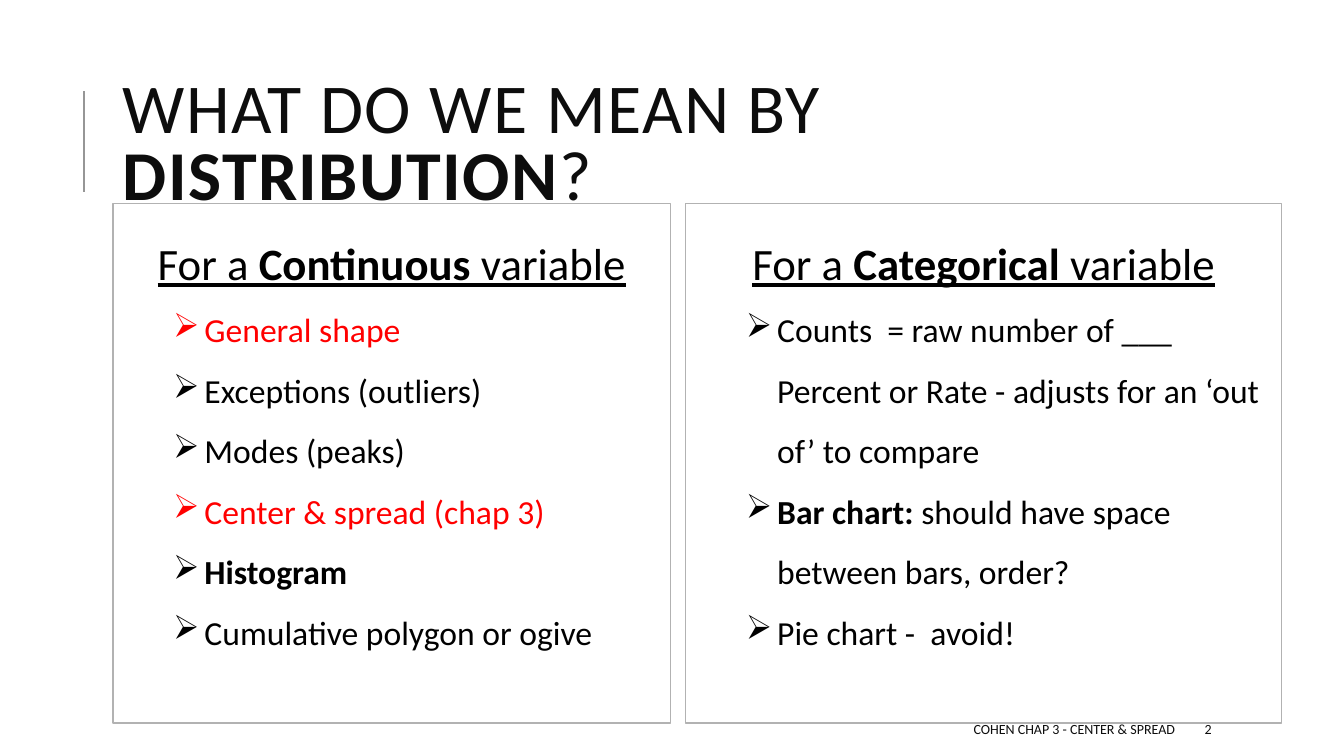
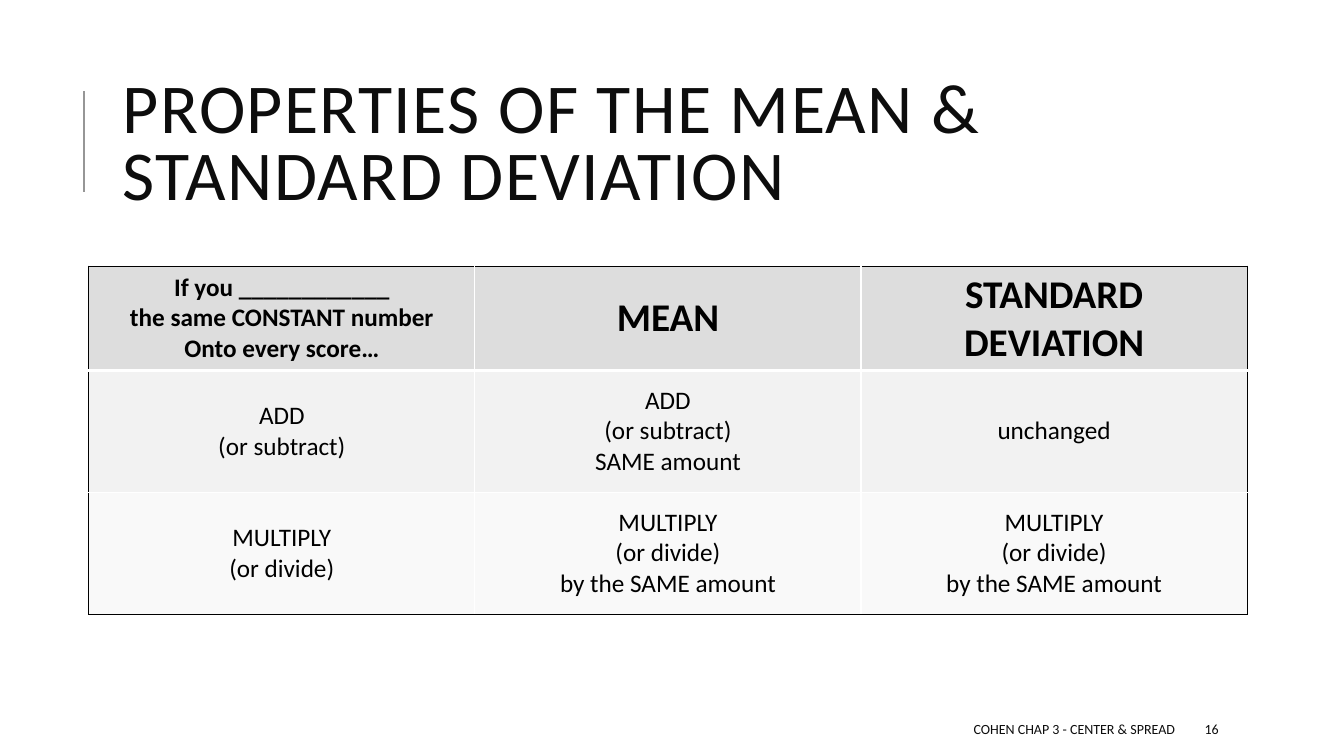
from lxml import etree
from pptx import Presentation
from pptx.dml.color import RGBColor
from pptx.enum.shapes import MSO_CONNECTOR, MSO_SHAPE
from pptx.enum.text import MSO_ANCHOR as Anchor, PP_ALIGN as Align
from pptx.oxml.ns import qn
from pptx.util import Inches, Pt

FONT = "Calibri"
BLACK, WHITE, RED = "000000", "FFFFFF", "FF0000"
DARK_TEXT = "0D0D0D"
ACCENT_LINE = "969696"
PANEL_LINE = "B2B2B2"
ROW_FILLS = ["DDDDDD", "F2F2F2", "F9F9F9"]
FOOTER = "COHEN CHAP 3 - CENTER & SPREAD"
BLANK_LAYOUT = 6

TABLE_ROWS = [
    [["If you ____________", "the same CONSTANT number", "Onto every score…"],
     ["MEAN"],
     ["STANDARD", "DEVIATION"]],
    [["ADD", "(or subtract)"],
     ["ADD", "(or subtract)", "SAME amount"],
     ["unchanged"]],
    [["MULTIPLY", "(or divide)"],
     ["MULTIPLY", "(or divide)", "by the SAME amount"],
     ["MULTIPLY", "(or divide)", "by the SAME amount"]],
]


def rgb(color):
    return RGBColor.from_string(color)


def add_bullet(paragraph):
    properties = paragraph._p.get_or_add_pPr()
    properties.set("lvl", "1")
    properties.set("marL", str(Inches(0.81)))
    properties.set("indent", str(Inches(-0.31)))
    etree.SubElement(properties, qn("a:buChar"), char="➢")


def write(frame, text, size=24, color=BLACK, bold=False, underline=False,
          align=Align.LEFT, line_spacing=None, bullet=False, tracking=None):
    """Add one paragraph; parts between ** marks are bold."""
    paragraph = frame.add_paragraph() if frame.text else frame.paragraphs[0]
    if bullet:
        add_bullet(paragraph)
    paragraph.alignment = align
    if line_spacing:
        paragraph.line_spacing = line_spacing
    for index, part in enumerate(text.split("**")):
        if not part:
            continue
        run = paragraph.add_run()
        run.text = part
        run.font.name = FONT
        run.font.size = Pt(size)
        run.font.color.rgb = rgb(color)
        run.font.bold = bold or index % 2 == 1
        run.font.underline = underline
        if tracking:
            run._r.get_or_add_rPr().set("spc", str(tracking * 100))


def add_text(slide, left, top, width, height, text, **text_format):
    box = slide.shapes.add_textbox(
        Inches(left), Inches(top), Inches(width), Inches(height))
    frame = box.text_frame
    frame.word_wrap = True
    frame.vertical_anchor = Anchor.MIDDLE
    write(frame, text, **text_format)


def add_title_bar(slide):
    bar = slide.shapes.add_connector(
        MSO_CONNECTOR.STRAIGHT,
        Inches(0.83), Inches(1.9), Inches(0.83), Inches(0.9))
    bar.line.color.rgb = rgb(ACCENT_LINE)
    bar.line.width = Pt(1.5)
    etree.SubElement(bar._element.spPr, qn("a:effectLst"))


def add_slide(presentation, title, title_width, number):
    """Add a slide with the shared title, side bar and footer."""
    slide = presentation.slides.add_slide(
        presentation.slide_layouts[BLANK_LAYOUT])
    add_title_bar(slide)
    add_text(slide, 1.12, 0.64, title_width, 1.64, title, size=50,
             color=DARK_TEXT, line_spacing=0.8, tracking=1)
    add_text(slide, 5.3, 7.08, 6.45, 0.3, FOOTER, size=10,
             color=DARK_TEXT, align=Align.RIGHT)
    add_text(slide, 11.85, 7.08, 1.06, 0.3, str(number), size=10,
             color=DARK_TEXT)
    return slide


def add_panel(slide, left, width, heading, items):
    """Add a framed list; items are (text, color) pairs."""
    panel = slide.shapes.add_shape(
        MSO_SHAPE.RECTANGLE,
        Inches(left), Inches(2.02), Inches(width), Inches(5.15))
    panel.shadow.inherit = False
    panel.fill.solid()
    panel.fill.fore_color.rgb = rgb(WHITE)
    panel.line.color.rgb = rgb(PANEL_LINE)
    panel.line.width = Pt(1.25)
    frame = panel.text_frame
    frame.word_wrap = True
    frame.vertical_anchor = Anchor.TOP
    write(frame, heading, size=32, underline=True, align=Align.CENTER,
          line_spacing=1.5)
    for text, color in items:
        write(frame, text, color=color, line_spacing=1.5, bullet=True)


def set_border(cell, side, color, width):
    line = etree.SubElement(cell._tc.get_or_add_tcPr(), qn(f"a:ln{side}"),
                            w=str(Pt(width)))
    fill = etree.SubElement(line, qn("a:solidFill"))
    etree.SubElement(fill, qn("a:srgbClr"), val=color)


def style_cell(cell, row, column, last_row, last_column):
    """Black on the outer edges, white inside, thick below the header."""
    outer_edges = {"L": column == 0, "R": column == last_column,
                   "T": row == 0, "B": row == last_row}
    for side, is_outer in outer_edges.items():
        width = 3 if row == 0 and side == "B" else 1
        set_border(cell, side, BLACK if is_outer else WHITE, width)
    cell.fill.solid()
    cell.fill.fore_color.rgb = rgb(ROW_FILLS[row])
    cell.vertical_anchor = Anchor.MIDDLE


def add_properties_table(slide, rows):
    row_count, column_count = len(rows), len(rows[0])
    table = slide.shapes.add_table(
        row_count, column_count,
        Inches(0.88), Inches(2.64), Inches(11.49), Inches(3.45)).table
    for row, cells in enumerate(rows):
        table.rows[row].height = Inches(1.21 if row else 1.03)
        for column, lines in enumerate(cells):
            cell = table.cell(row, column)
            style_cell(cell, row, column, row_count - 1, column_count - 1)
            size = 28 if row == 0 and column > 0 else 18
            for text in lines:
                write(cell.text_frame, text, size=size, bold=row == 0,
                      align=Align.CENTER)


def main():
    presentation = Presentation()
    presentation.slide_width = Inches(13.33)
    presentation.slide_height = Inches(7.5)

    distribution = add_slide(
        presentation, "WHAT DO WE MEAN BY **DISTRIBUTION**?", 10.63, 2)
    add_panel(distribution, 6.8, 5.91, "For a **Categorical** variable", [
        ("Counts  = raw number of ___ Percent or Rate - adjusts for an "
         "‘out of’ to compare", BLACK),
        ("**Bar chart: **should have space between bars, order?", BLACK),
        ("Pie chart -  avoid!", BLACK),
    ])
    add_panel(distribution, 1.12, 5.53, "For a **Continuous** variable", [
        ("General shape", RED),
        ("Exceptions (outliers)", BLACK),
        ("Modes (peaks)", BLACK),
        ("Center & spread (chap 3)", RED),
        ("**Histogram**", BLACK),
        ("Cumulative polygon or ogive", BLACK),
    ])

    properties = add_slide(
        presentation, "PROPERTIES OF THE MEAN & STANDARD DEVIATION", 11.8, 16)
    add_properties_table(properties, TABLE_ROWS)

    presentation.save("out.pptx")


if __name__ == "__main__":
    main()
